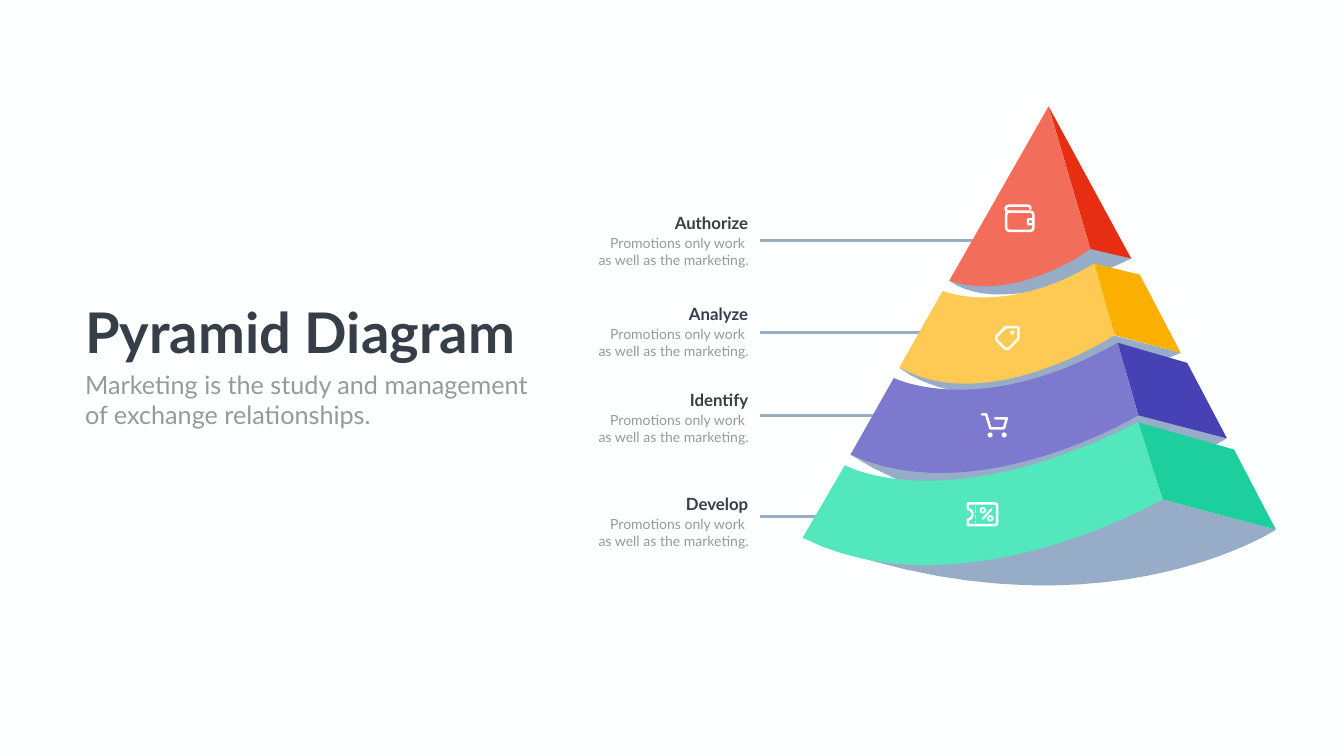
from lxml import etree
from pptx import Presentation
from pptx.dml.color import RGBColor
from pptx.enum.shapes import MSO_CONNECTOR, MSO_SHAPE as SHAPE
from pptx.enum.text import MSO_AUTO_SIZE as FIT, PP_ALIGN as ALIGN
from pptx.oxml.ns import qn
from pptx.util import Inches, Pt

CELL = Inches(1)  # every length below counts cells of a 26.66 x 15 grid
COLUMNS, ROWS = 26.66, 15
CURVE_STEPS = 24

PAPER = RGBColor(0xFE, 0xFF, 0xFF)
WHITE = RGBColor(0xFF, 0xFF, 0xFF)
INK = RGBColor(0x36, 0x3E, 0x48)
GREY = RGBColor(0x98, 0x99, 0x98)
SHADE = RGBColor(0x97, 0xAC, 0xC7)
RED, DARK_RED = RGBColor(0xF2, 0x6E, 0x5B), RGBColor(0xE7, 0x2D, 0x12)
YELLOW, DARK_YELLOW = RGBColor(0xFE, 0xCA, 0x53), RGBColor(0xFB, 0xAF, 0x01)
PURPLE, DARK_PURPLE = RGBColor(0x7D, 0x79, 0xCF), RGBColor(0x46, 0x41, 0xB5)
GREEN, DARK_GREEN = RGBColor(0x53, 0xE7, 0xBE), RGBColor(0x1D, 0xCF, 0x9D)

prs = Presentation()
prs.slide_width, prs.slide_height = round(COLUMNS * CELL), ROWS * CELL
slide = prs.slides.add_slide(prs.slide_layouts[6])
slide.background.fill.solid()
slide.background.fill.fore_color.rgb = PAPER
shapes = slide.shapes


def paint(shape, fill=None, stroke=0):
    """Fill the shape, or leave it hollow with a white round-joined outline."""
    shape.shadow.inherit = False
    if fill is not None:
        shape.fill.solid()
        shape.fill.fore_color.rgb = fill
        shape.line.fill.background()
    else:
        shape.fill.background()
        shape.line.color.rgb = WHITE
        shape.line.width = Pt(stroke)
        outline = shape._element.spPr.find(qn("a:ln"))
        outline.set("cap", "rnd")
        etree.SubElement(outline, qn("a:round"))


def trace(steps, close=True):
    """Draw a path whose steps are points, or (control, end) pairs for curves."""
    points = [steps[0]]
    for step in steps[1:]:
        if not isinstance(step[0], tuple):
            points.append(step)
            continue
        start, (control, end) = points[-1], step
        for i in range(1, CURVE_STEPS + 1):
            t = i / CURVE_STEPS
            weights = (1 - t) ** 3 + 3 * (1 - t) ** 2 * t, 3 * (1 - t) * t ** 2, t ** 3
            points.append(tuple(sum(w * p[axis] for w, p in zip(weights, (start, control, end)))
                                for axis in (0, 1)))
    emu = [(round(x * CELL), round(y * CELL)) for x, y in points]
    builder = shapes.build_freeform(*emu[0])
    builder.add_line_segments(emu[1:], close=close)
    return builder.convert_to_shape()


# Leaders, and the dashes and slash of the ticket: x1, y1, x2, y2, width, colour
leaders = [(15.08, y, end, y, 4.3, SHADE)
           for y, end in ((10.25, 19.02), (8.25, 19.02), (6.6, 19.02), (4.78, 20.07))]
ticket_marks = [(19.36, top, 19.36, bottom, 1.4, WHITE)
                for top, bottom in ((10.03, 10.07), (10.1, 10.18), (10.22, 10.3), (10.33, 10.38))]
ticket_marks.append((19.49, 10.3, 19.67, 10.1, 2.9, WHITE))

# Pyramid, base first: shadow, side and front outlines
shadows = [
    [(25.31, 10.51), ((21.66, 12.89), (15.92, 10.67)), (23.06, 9.91)],
    [(24.33, 8.7), ((20.28, 11.26), (16.87, 9.02)), (22.57, 8.23)],
    [(23.43, 7), ((19.66, 8.65), (17.84, 7.3)), (22.11, 6.66)],
    [(22.44, 5.13), ((19.94, 6.38), (18.83, 5.57)), (21.63, 4.93)],
]
sides = [
    (DARK_RED, [(20.8, 2.11), (22.44, 5.13), (21.63, 4.94)]),
    (DARK_YELLOW, [(22.61, 5.45), (21.7, 5.23), (22.11, 6.65), (23.42, 7)]),
    (DARK_PURPLE, [(22.17, 6.8), (23.55, 7.2), (24.34, 8.7), (22.58, 8.24)]),
    (DARK_GREEN, [(24.48, 8.92), (25.31, 10.51), (23.06, 9.91), (22.58, 8.38)]),
]
fronts = [
    (RED, [(20.8, 2.11), (21.63, 4.94), ((20.18, 6.02), (18.83, 5.57))]),
    (YELLOW, [(21.71, 5.23), (22.11, 6.65), ((19.6, 8.29), (17.84, 7.29)),
              (18.7, 5.77), ((19.91, 6.3), (21.71, 5.23))]),
    (PURPLE, [(22.17, 6.8), (22.58, 8.24), ((19.37, 10.17), (16.87, 9.02)),
              (17.73, 7.5), ((19.45, 8.35), (22.17, 6.8))]),
    (GREEN, [(22.58, 8.38), (23.06, 9.91), ((19.04, 12.24), (15.92, 10.67)),
             (16.76, 9.23), ((18.7, 10.33), (22.58, 8.38))]),
]

# Icons: stroked paths, then preset parts
tag = [(19.95, 6.49), (20.2, 6.49), (20.2, 6.72), (20.03, 6.9), ((19.97, 6.95), (19.92, 6.9)),
       (19.78, 6.76), ((19.74, 6.71), (19.78, 6.66))]
cart = [(19.48, 8.22), (19.56, 8.22), (19.64, 8.48), ((19.64, 8.5), (19.66, 8.5)),
        (19.89, 8.5), ((19.92, 8.5), (19.92, 8.48)), (19.97, 8.3), (19.74, 8.3)]
wallet_flap = [(20.44, 4.14), ((20.44, 4.08), (20.38, 4.08)), (20.03, 4.08),
               ((19.95, 4.08), (19.95, 4.14)), ((19.95, 4.2), (20.03, 4.2))]
wallet_side = [(19.96, 4.17), (19.96, 4.5)]
ticket = [(19.2, 9.99), (19.73, 9.99), ((19.78, 9.99), (19.78, 10.04)), (19.78, 10.37),
          ((19.78, 10.42), (19.73, 10.42)), (19.2, 10.42), (19.2, 10.31),
          ((19.29, 10.29), (19.29, 10.2)), ((19.29, 10.12), (19.2, 10.1))]
icon_paths = [(tag, True), (cart, False), (wallet_flap, False), (wallet_side, False), (ticket, True)]
icon_parts = [  # preset, left, top, width, height, outline (0 = solid)
    (SHAPE.OVAL, 20.04, 6.56, 0.08, 0.08, 0),
    (SHAPE.OVAL, 19.59, 8.58, 0.1, 0.1, 0),
    (SHAPE.OVAL, 19.87, 8.58, 0.1, 0.1, 0),
    (SHAPE.ROUNDED_RECTANGLE, 20.39, 4.35, 0.1, 0.1, 3.3),
    (SHAPE.ROUNDED_RECTANGLE, 19.96, 4.2, 0.54, 0.38, 3.6),
    (SHAPE.OVAL, 19.6, 10.24, 0.09, 0.09, 2.6),
    (SHAPE.OVAL, 19.45, 10.08, 0.09, 0.09, 2.6),
]

for number, (x1, y1, x2, y2, width, colour) in enumerate(leaders + ticket_marks):
    if number == len(leaders):  # the pyramid covers the leaders and carries the ticket
        for steps in shadows:
            paint(trace(steps), SHADE)
        for colour_of_face, steps in sides + fronts:
            paint(trace(steps), colour_of_face)
    line = shapes.add_connector(MSO_CONNECTOR.STRAIGHT,
                                *(round(v * CELL) for v in (x1, y1, x2, y2)))
    line.line.color.rgb = colour
    line.line.width = Pt(width)
    etree.SubElement(line._element.spPr, qn("a:effectLst"))

for steps, close in icon_paths:
    paint(trace(steps, close), stroke=3.6)
for preset, *box, stroke in icon_parts:
    part = shapes.add_shape(preset, *(round(v * CELL) for v in box))
    paint(part, None if stroke else WHITE, stroke)

# Texts: box, lines, size, colour, bold, alignment, wrap
texts = [
    ((1.59, 5.86, 8.9, 1.45), ["Pyramid Diagram"], 80, INK, True, ALIGN.LEFT, False),
    ((1.59, 7.28, 9.74, 1.31), ["Marketing is the study and management",
                                "of exchange relationships."], 36, GREY, False, ALIGN.LEFT, True),
]
for stage, top in (("Authorize", 4.18), ("Analyze", 5.98), ("Identify", 7.69), ("Develop", 9.75)):
    texts.append(((13.14, top, 1.8, 0.5), [stage], 24, INK, True, ALIGN.RIGHT, True))
    texts.append(((11.75, top + 0.43, 3.2, 0.77),
                  ["Promotions only work ", "as well as the marketing."],
                  20, GREY, False, ALIGN.RIGHT, True))

for box, lines, size, colour, bold, align, wrap in texts:
    frame = shapes.add_textbox(*(round(v * CELL) for v in box)).text_frame
    frame.word_wrap = wrap
    frame.auto_size = FIT.SHAPE_TO_FIT_TEXT
    frame.text = "\n".join(lines)
    for paragraph in frame.paragraphs:
        paragraph.alignment = align
        font = paragraph.font
        font.name, font.size, font.bold = "Lato", Pt(size), bold
        font.color.rgb = colour

prs.save("out.pptx")
